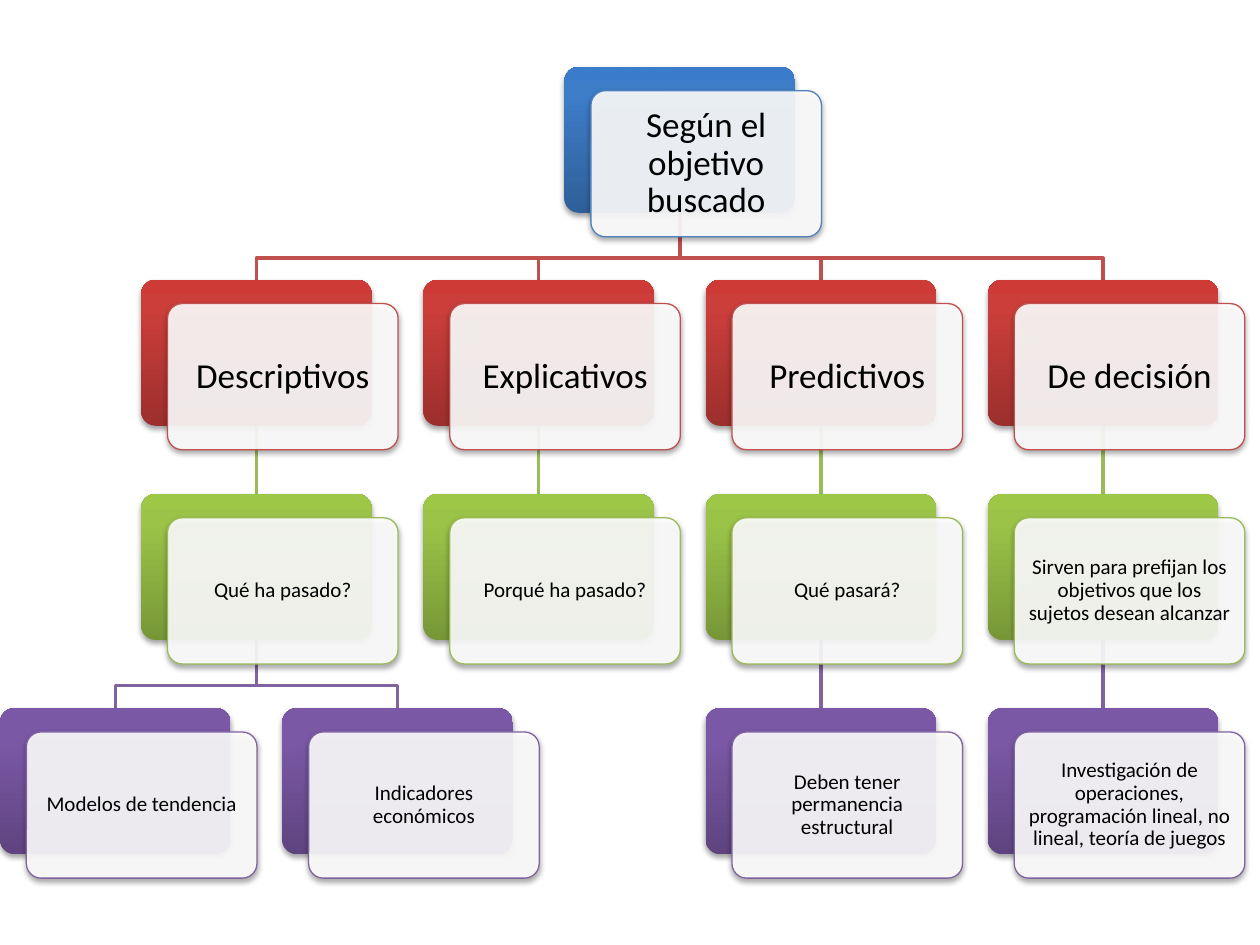
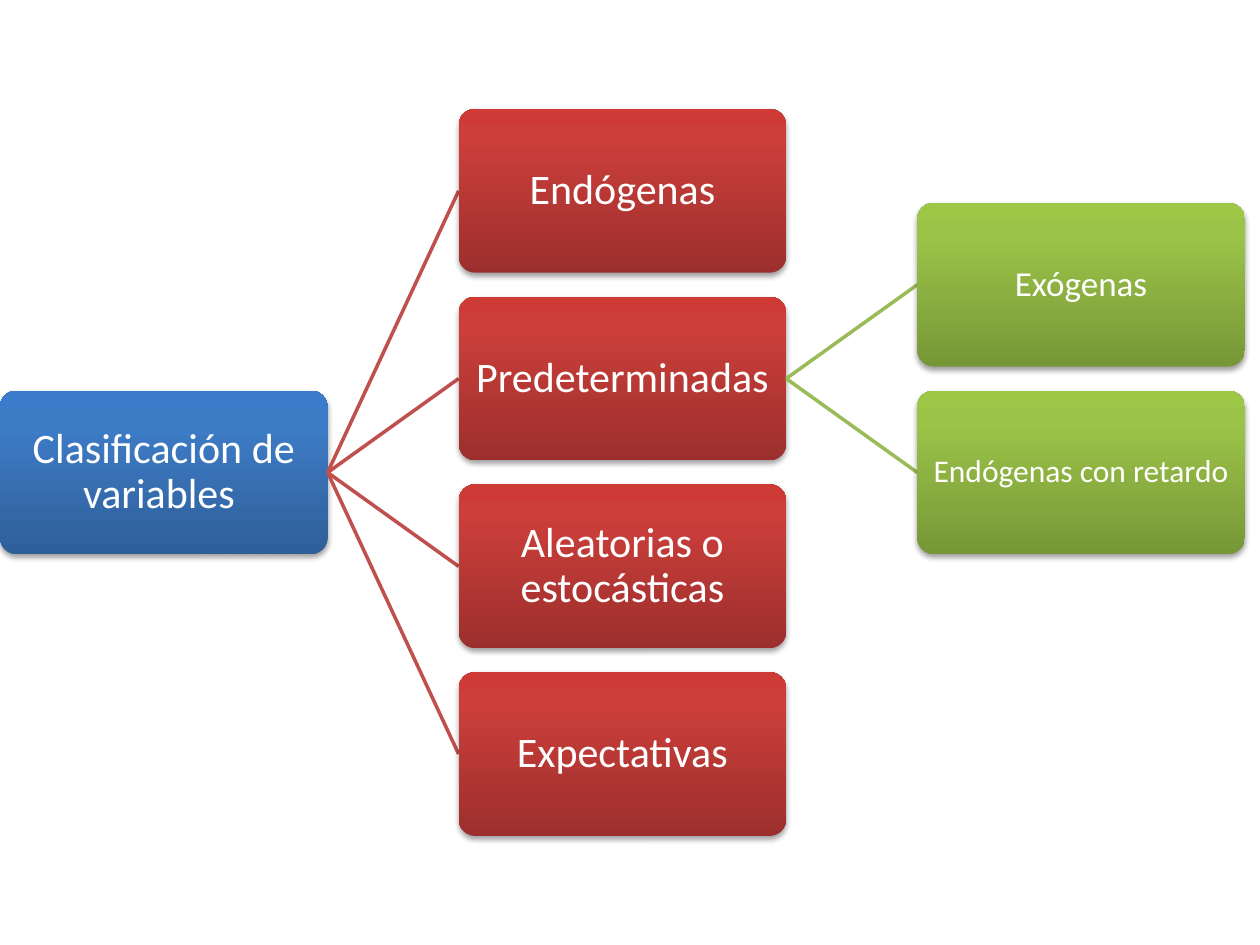
"""Builds two slides of tree diagrams: model types and variable classes."""
from copy import deepcopy
from lxml.etree import SubElement
from pptx import Presentation
from pptx.dml.color import RGBColor
from pptx.enum.shapes import MSO_CONNECTOR, MSO_SHAPE
from pptx.enum.text import MSO_ANCHOR, PP_ALIGN
from pptx.oxml.ns import qn
from pptx.util import Inches, Pt

rgb = RGBColor.from_string
LINES = ["4F81BD", "C0504D", "9BBB59", "8064A2"]
FADES = [
    ("2F5F99", "3D7CC7", "3A7CCB"),
    ("9C2F2D", "CB3E3A", "CE3B37"),
    ("779737", "9BC348", "9DC746"),
    ("5F4480", "7B58A6", "7C57A8"),
]


def box(page, x, y, w, h, tier, card=False, text="", size=12, ink="FFFFFF", pad=0.05):
    shape = page.shapes.add_shape(
        MSO_SHAPE.ROUNDED_RECTANGLE, Inches(x), Inches(y), Inches(w), Inches(h))
    shape.adjustments[0] = 0.1
    props = shape._element.spPr
    if card:
        shape.fill.solid()
        shape.fill.fore_color.rgb = rgb("FFFFFF")
        SubElement(props.find(".//" + qn("a:srgbClr")), qn("a:alpha"), val="90000")
        shape.line.color.rgb = rgb(LINES[tier])
        shape.line.width = Pt(0.75)
    else:
        shape.fill.gradient()
        shape.fill.gradient_angle = 90
        stops = props.find(".//" + qn("a:gsLst"))
        stops.insert(1, deepcopy(stops[0]))
        for stop, place, tone in zip(shape.fill.gradient_stops, (0, 0.8, 1), FADES[tier]):
            stop.position = place
            stop.color.rgb = rgb(tone)
        shape.line.fill.background()
    shape.shadow.inherit = False
    glow = SubElement(props.find(qn("a:effectLst")), qn("a:outerShdw"), blurRad="40000",
                      dist="22000", dir="5400000", rotWithShape="0")
    tone = SubElement(glow, qn("a:srgbClr"), val="000000")
    SubElement(tone, qn("a:alpha"), val="36000")
    if text:
        frame = shape.text_frame
        frame.text = text
        frame.word_wrap = True
        frame.vertical_anchor = MSO_ANCHOR.MIDDLE
        frame.margin_left = frame.margin_right = Inches(pad)
        frame.margin_top = frame.margin_bottom = Inches(pad)
        para = frame.paragraphs[0]
        para.alignment = PP_ALIGN.CENTER
        para.line_spacing = 0.9
        font = para.runs[0].font
        font.name = "Calibri"
        font.size = Pt(size)
        font.color.rgb = rgb(ink)


def link(page, points, tier):
    spots = [(Inches(x), Inches(y)) for x, y in points]
    if len(spots) == 2:
        line = page.shapes.add_connector(MSO_CONNECTOR.STRAIGHT, *spots[0], *spots[1])
        SubElement(line._element.spPr, qn("a:effectLst"))
    else:
        path = page.shapes.build_freeform(*spots[0], scale=1.0)
        path.add_line_segments(spots[1:], close=False)
        line = path.convert_to_shape()
        line.fill.background()
        line.shadow.inherit = False
    line.line.color.rgb = rgb(LINES[tier])
    line.line.width = Pt(2)


deck = Presentation()
deck.slide_width = Inches(10)
deck.slide_height = Inches(7.5)
blank = deck.slide_layouts[6]

page = deck.slides.add_slide(blank)
wide, high, half = 1.83, 1.16, 1.12
rows = [0.53, 2.22, 3.92, 5.62]
nodes = [
    (0, 4, None, "Según el objetivo buscado"),
    (1, 1, 4, "Descriptivos"),
    (1, 3, 4, "Explicativos"),
    (1, 5, 4, "Predictivos"),
    (1, 7, 4, "De decisión"),
    (2, 1, 1, "Qué ha pasado?"),
    (2, 3, 3, "Porqué ha pasado?"),
    (2, 5, 5, "Qué pasará?"),
    (2, 7, 7, "Sirven para prefijan los objetivos que los sujetos desean alcanzar"),
    (3, 0, 1, "Modelos de tendencia"),
    (3, 2, 1, "Indicadores económicos"),
    (3, 5, 5, "Deben tener permanencia estructural"),
    (3, 7, 7, "Investigación de operaciones, programación lineal, no lineal, teoría de juegos"),
]
for tier, col, root, text in nodes:
    if root is None:
        continue
    start, end = root * half + wide / 2, col * half + wide / 2
    top, low = rows[tier - 1] + high, rows[tier]
    bend = top + 0.36
    turn = [] if col == root else [(start, bend), (end, bend)]
    link(page, [(start, top), *turn, (end, low)], tier)
for tier, col, root, text in nodes:
    x, y = col * half, rows[tier]
    size, pad = (20, 0.11) if tier < 2 else (12, 0.08)
    box(page, x, y, wide, high, tier)
    box(page, x + 0.21, y + 0.19, wide, high, tier, True, text, size, "000000", pad)

page = deck.slides.add_slide(blank)
wide, high, step, pitch, mid = 2.6, 1.3, 3.64, 1.49, 3.75
nodes = [
    (0, 0, None, "Clasificación de variables ", 24),
    (1, -1.5, 0, "Endógenas", 24),
    (1, -0.5, 0, "Predeterminadas", 24),
    (1, 0.5, 0, "Aleatorias o estocásticas", 24),
    (1, 1.5, 0, "Expectativas", 24),
    (2, -1, -0.5, "Exógenas", 20),
    (2, 0, -0.5, "Endógenas con retardo", 18),
]
for tier, row, root, text, size in nodes:
    x, y = tier * step, mid + row * pitch
    if root is not None:
        link(page, [(x - step + wide, mid + root * pitch), (x, y)], tier)
    box(page, x, y - high / 2, wide, high, tier, text=text, size=size)

deck.save("out.pptx")
